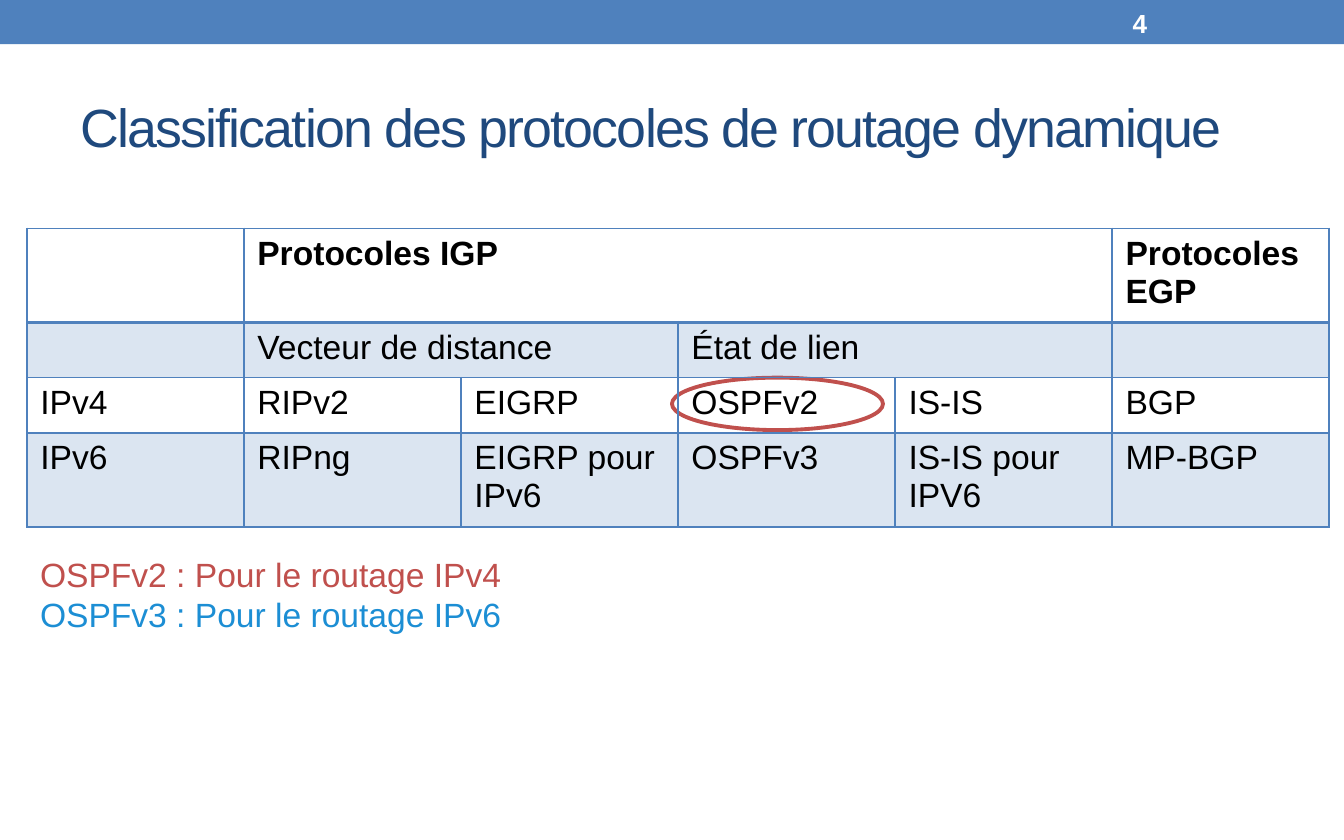
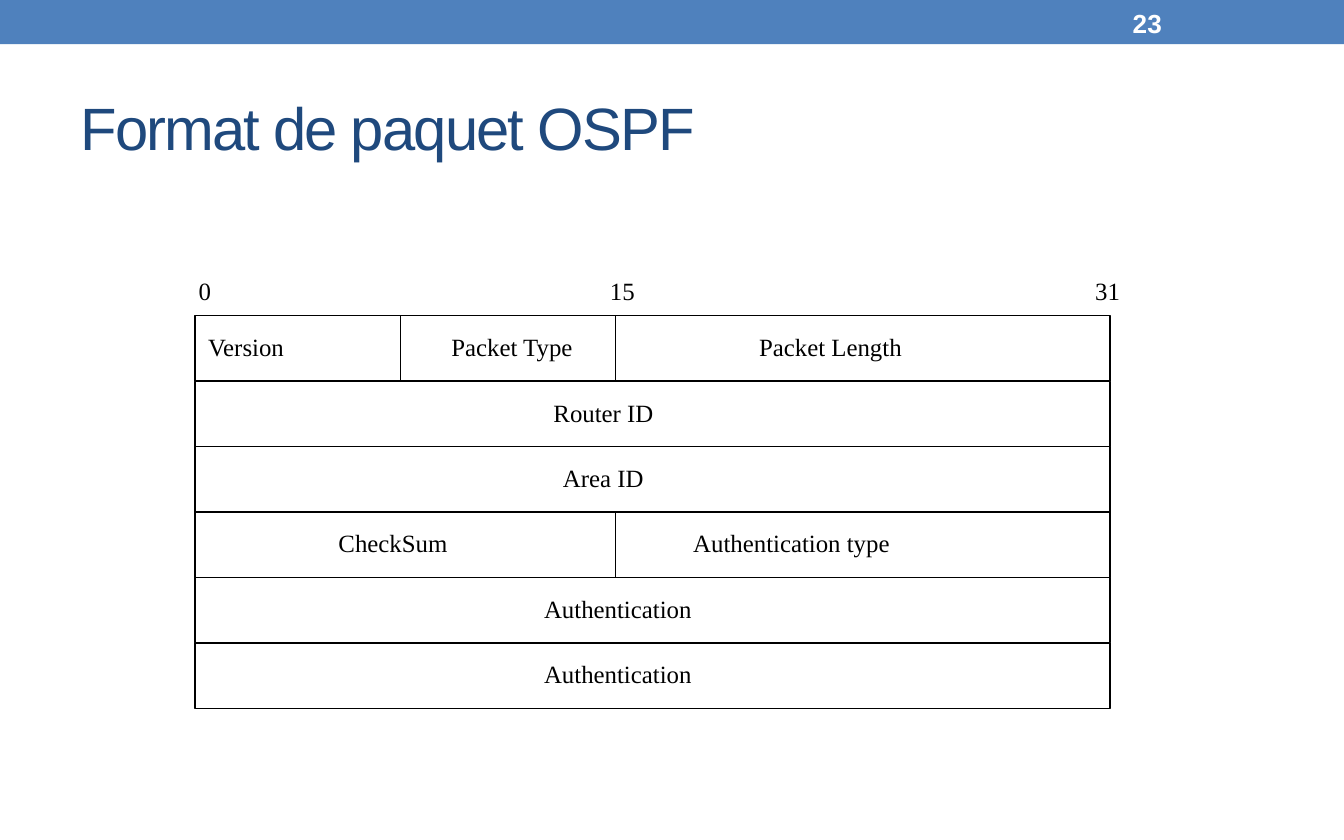
from lxml.etree import SubElement
from pptx import Presentation
from pptx.dml.color import RGBColor
from pptx.enum.shapes import MSO_CONNECTOR as Line, MSO_SHAPE as Shape
from pptx.enum.text import MSO_ANCHOR as Anchor
from pptx.oxml import parse_xml
from pptx.oxml.ns import nsdecls, qn
from pptx.util import Inches, Pt

BLUE, NAVY, RED, SKY = "4F81BD", "1F497D", "C0504D", "1C8ED4"
BLACK, WHITE = "000000", "FFFFFF"
SANS, SERIF = "Arial", "Times New Roman"

# Each entry: text, first column, number of columns
PROTOCOLS = [
    [("", 0, 1), ("Protocoles IGP", 1, 4), ("Protocoles EGP", 5, 1)],
    [("", 0, 1), ("Vecteur de distance", 1, 2), ("État de lien", 3, 2), ("", 5, 1)],
    [(name, i, 1) for i, name in enumerate(
        ["IPv4", "RIPv2", "EIGRP", "OSPFv2", "IS-IS", "BGP"])],
    [(name, i, 1) for i, name in enumerate(
        ["IPv6", "RIPng", "EIGRP pour IPv6", "OSPFv3", "IS-IS pour IPV6", "MP-BGP"])],
]
PROTOCOL_ROWS = [0.66, 0.41, 0.41, 0.66]

# Each row: (label, offset, width) fields, then divider offsets
PACKET = [
    ([("Version", 0, 0.83), ("Packet Type", 1.81, 1.11),
      ("Packet Length", 4.1, 1.94)], [1.53, 3.13]),
    ([("Router ID", 2.57, 2.43)], []),
    ([("Area ID", 2.64, 2.43)], []),
    ([("CheckSum", 0.97, 1.25), ("Authentication type", 3.61, 2.43)], [3.13]),
    ([("Authentication", 2.5, 2.43)], []),
    ([("Authentication", 2.5, 2.43)], []),
]
BIT_MARKS = [("0", -0.07), ("15", 2.99), ("31", 6.6)]


def color(value):
    return RGBColor.from_string(value)


def write(frame, *lines, size=18, font=SANS, colors=(BLACK,), bold=False,
          spacing=None, anchor=Anchor.TOP):
    """Write one paragraph per line; colours are taken in turn."""
    frame.word_wrap = True
    frame.vertical_anchor = anchor
    for i, line in enumerate(lines):
        paragraph = frame.paragraphs[0] if i == 0 else frame.add_paragraph()
        paragraph.font.size = Pt(size)
        run = paragraph.add_run()
        run.text = line
        run.font.name, run.font.size, run.font.bold = font, Pt(size), bold
        run.font.color.rgb = color(colors[i % len(colors)])
        if spacing is not None:
            run.font._element.set("spc", str(round(spacing * 100)))


def add_text(slide, box, *lines, **style):
    label = slide.shapes.add_textbox(*map(Inches, box))
    write(label.text_frame, *lines, **style)


def add_outline(slide, kind, box, fill=None, line=None, weight=0.75):
    shape = slide.shapes.add_shape(kind, *map(Inches, box))
    shape.shadow.inherit = False
    if fill:
        shape.fill.solid()
        shape.fill.fore_color.rgb = color(fill)
    else:
        shape.fill.background()
    if line:
        shape.line.color.rgb = color(line)
        shape.line.width = Pt(weight)
    else:
        shape.line.fill.background()


def add_divider(slide, x, top, bottom):
    divider = slide.shapes.add_connector(
        Line.STRAIGHT, *map(Inches, (x, top, x, bottom)))
    divider.line.color.rgb = color(BLACK)
    divider.line.width = Pt(0.75)
    SubElement(divider._element.spPr, qn("a:effectLst"))


def start_slide(deck, title, number, title_size):
    slide = deck.slides.add_slide(deck.slide_layouts[6])
    add_outline(slide, Shape.RECTANGLE, (0, 0, 10, 0.33), fill=BLUE)
    add_text(slide, (0.5, 0.49, 9, 0.9), title, size=title_size,
             colors=(NAVY,), spacing=-1, anchor=Anchor.MIDDLE)
    add_text(slide, (8.33, 0.02, 1.17, 0.3), number, size=14,
             colors=(WHITE,), bold=True, anchor=Anchor.MIDDLE)
    return slide


def style_cell(cell, row):
    """Tint every second row and rule all four sides."""
    if row % 2:
        cell.fill.solid()
        cell.fill.fore_color.rgb = color(BLUE)
        tint = cell._tc.tcPr.find(".//" + qn("a:srgbClr"))
        SubElement(tint, qn("a:alpha")).set("val", "20000")
    else:
        cell.fill.background()
    weights = {"L": 1, "R": 1, "T": 2 if row == 1 else 1, "B": 2 if row == 0 else 1}
    for i, (side, weight) in enumerate(weights.items()):
        cell._tc.tcPr.insert(i, parse_xml(
            f'<a:ln{side} {nsdecls("a")} w="{Pt(weight)}"><a:solidFill>'
            f'<a:srgbClr val="{BLUE}"/></a:solidFill></a:ln{side}>'))


def add_protocol_table(slide, left, top, width):
    columns = 6
    table = slide.shapes.add_table(
        len(PROTOCOLS), columns, Inches(left), Inches(top), Inches(width),
        Inches(sum(PROTOCOL_ROWS))).table
    table.first_row = table.horz_banding = False
    for column in table.columns:
        column.width = Inches(width / columns)
    for r, (entries, height) in enumerate(zip(PROTOCOLS, PROTOCOL_ROWS)):
        table.rows[r].height = Inches(height)
        for c in range(columns):
            style_cell(table.cell(r, c), r)
        for name, first, span in entries:
            cell = table.cell(r, first)
            if span > 1:
                cell.merge(table.cell(r, first + span - 1))
            if name:
                write(cell.text_frame, name, bold=r == 0)


def add_packet(slide, left, top, width, row_height):
    for mark, offset in BIT_MARKS:
        add_text(slide, (left + offset, top - 0.35, 0.42, 0.33), mark,
                 size=13.3, font=SERIF)
    for i, (fields, dividers) in enumerate(PACKET):
        y = top + i * row_height
        add_outline(slide, Shape.RECTANGLE, (left, y, width, row_height), line=BLACK)
        for offset in dividers:
            add_divider(slide, left + offset, y, y + row_height)
        for name, offset, field_width in fields:
            add_text(slide, (left + offset, y + 0.07, field_width, 0.33), name,
                     size=13.3, font=SERIF)


def classification_slide(deck):
    slide = start_slide(
        deck, "Classification des protocoles de routage dynamique", "4", 28.8)
    add_outline(slide, Shape.OVAL, (5, 2.81, 1.57, 0.39), WHITE, RED, 2.08)
    add_protocol_table(slide, 0.2, 1.7, 9.69)
    add_text(slide, (0.2, 4.07, 8.66, 0.71), "OSPFv2 : Pour le routage IPv4",
             "OSPFv3 : Pour le routage IPv6", colors=(RED, SKY))


def packet_slide(deck):
    slide = start_slide(deck, "Format de paquet OSPF", "23", 32)
    add_packet(slide, 1.45, 2.35, 6.81, 2.92 / len(PACKET))


def main():
    deck = Presentation()
    deck.slide_width, deck.slide_height = Inches(10), Inches(6.25)
    classification_slide(deck)
    packet_slide(deck)
    deck.save("out.pptx")


if __name__ == "__main__":
    main()
